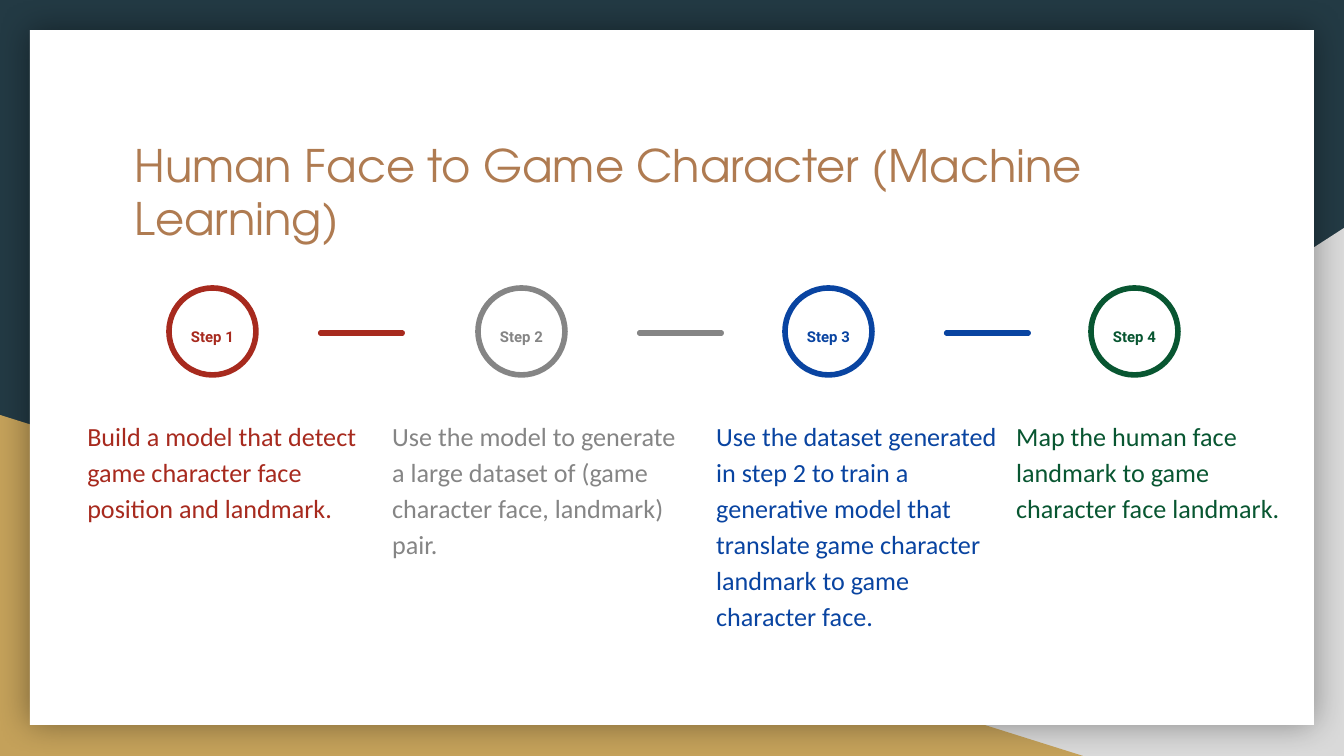
import pptx
import pptx.dml.color
import pptx.enum.shapes
import pptx.enum.text
import pptx.oxml
import pptx.oxml.ns
import pptx.util

RGB = pptx.dml.color.RGBColor
SHAPE = pptx.enum.shapes.MSO_SHAPE
ALIGN = pptx.enum.text.PP_ALIGN
ANCHOR = pptx.enum.text.MSO_ANCHOR
PX = 914400 / 134.4

NAVY = RGB(0x23, 0x3A, 0x44)
SILVER = RGB(0xD9, 0xD9, 0xD9)
GOLD = RGB(0xC4, 0xA1, 0x5A)
WHITE = RGB(0xFF, 0xFF, 0xFF)
BROWN = RGB(0xAF, 0x7B, 0x51)
RED = RGB(0xA7, 0x2A, 0x1E)
GRAY = RGB(0x85, 0x85, 0x85)
BLUE = RGB(0x09, 0x44, 0xA1)
GREEN = RGB(0x08, 0x56, 0x31)

TITLE = {"name": "TeX Gyre Adventor", "size": pptx.util.Pt(24), "bold": False}
LABEL = {"name": "Roboto", "size": pptx.util.Pt(8), "bold": True}
BODY = {"name": "Calibri", "size": pptx.util.Pt(14), "bold": False}
SPACED = {"line_spacing": 1.15, "space_after": pptx.util.Pt(16)}

CIRCLE_TOP, CIRCLE = 288, 87
LABEL_TOP, LABEL_HEIGHT = 312, 47
BODY_TOP, BODY_HEIGHT = 402, 109
BAR_TOP, BAR_HEIGHT = 330, 6

STEPS = [
    (RED, 169, 74, 306, 318,
     "Build a model that detect game character face position and landmark."),
    (GRAY, 478, 379, 314, 637,
     "Use the model to generate a large dataset of (game character face, landmark) pair."),
    (BLUE, 785, 703, 314, 944,
     "Use the dataset generated in step 2 to train a generative model that "
     "translate game character landmark to game character face."),
    (GREEN, 1091, 1003, 292, None,
     "Map the human face landmark to game character face landmark."),
]

SHADOW = (
    '<a:effectLst xmlns:a="http://schemas.openxmlformats.org/drawingml/2006/main">'
    '<a:outerShdw blurRad="228600" dist="0" algn="ctr" rotWithShape="0">'
    '<a:srgbClr val="000000"><a:alpha val="40000"/></a:srgbClr>'
    '</a:outerShdw></a:effectLst>'
)


def px(*values):
    """Turn pixel lengths into EMU."""
    return [pptx.util.Emu(round(v * PX)) for v in values]


def apply(obj, values):
    """Set attributes of an object from a dict."""
    for name, value in values.items():
        setattr(obj, name, value)


def add_shape(shapes, kind, box, fill=None, line=None):
    """Add a preset shape with a plain fill or a 3 pt outline."""
    sp = shapes.add_shape(kind, *px(*box))
    sp.shadow.inherit = False
    if fill is None:
        sp.fill.background()
    else:
        sp.fill.solid()
        sp.fill.fore_color.rgb = fill
    if line is None:
        sp.line.fill.background()
    else:
        sp.line.color.rgb = line
        sp.line.width = pptx.util.Pt(3)
    return sp


def write_text(sp, text, font, color, para):
    """Write one formatted paragraph into a shape."""
    tf = sp.text_frame
    inset = pptx.util.Inches(0.1)
    apply(tf, {"word_wrap": True, "vertical_anchor": ANCHOR.TOP,
               "auto_size": pptx.enum.text.MSO_AUTO_SIZE.NONE,
               "margin_left": inset, "margin_right": inset,
               "margin_top": inset, "margin_bottom": inset})
    p = tf.paragraphs[0]
    apply(p, para)
    r = p.add_run()
    r.text = text
    apply(r.font, font)
    r.font.color.rgb = color


def add_text(shapes, box, text, font, color, align):
    """Add a text box with spaced lines."""
    sp = shapes.add_textbox(*px(*box))
    write_text(sp, text, font, color, {"alignment": align, **SPACED})


def add_backdrop(s):
    """Draw the dark background, corner triangles and white card."""
    s.background.fill.solid()
    s.background.fill.fore_color.rgb = NAVY
    right = add_shape(s.shapes, SHAPE.RIGHT_TRIANGLE, (527, 228, 817, 528), SILVER)
    right._element.spPr.find(pptx.oxml.ns.qn("a:xfrm")).set("flipH", "1")
    add_shape(s.shapes, SHAPE.RIGHT_TRIANGLE, (0, 415, 1083, 341), GOLD)
    card = add_shape(s.shapes, SHAPE.RECTANGLE, (30, 30, 1284, 695), WHITE)
    spPr = card._element.spPr
    spPr.replace(spPr.find(pptx.oxml.ns.qn("a:effectLst")), pptx.oxml.parse_xml(SHADOW))


def add_title(s, text):
    """Place the title placeholder above the card."""
    sp = s.shapes.title
    apply(sp, dict(zip(("left", "top", "width", "height"), px(121, 124, 1103, 140))))
    write_text(sp, text, TITLE, BROWN, {"alignment": ALIGN.LEFT})
    s.shapes._spTree.append(sp._element)


def add_step(s, number, color, left, body_left, body_width, bar_left, text):
    """Add a numbered circle with its description and the bar after it."""
    shapes = s.shapes.add_group_shape().shapes
    add_shape(shapes, SHAPE.OVAL, (left, CIRCLE_TOP, CIRCLE, CIRCLE), line=color)
    add_text(shapes, (left, LABEL_TOP, CIRCLE, LABEL_HEIGHT),
             f"Step {number}", LABEL, color, ALIGN.CENTER)
    add_text(shapes, (body_left, BODY_TOP, body_width, BODY_HEIGHT),
             text, BODY, color, ALIGN.LEFT)
    if bar_left is not None:
        bar = add_shape(s.shapes, SHAPE.ROUNDED_RECTANGLE,
                        (bar_left, BAR_TOP, CIRCLE, BAR_HEIGHT), color)
        bar.adjustments[0] = 0.5


def main():
    """Build the slide and save it."""
    prs = pptx.Presentation()
    prs.slide_width, prs.slide_height = px(1344, 756)
    s = prs.slides.add_slide(prs.slide_layouts[5])
    add_backdrop(s)
    add_title(s, "Human Face to Game Character (Machine Learning)")
    for number, step in enumerate(STEPS, 1):
        add_step(s, number, *step)
    prs.save("out.pptx")


if __name__ == "__main__":
    main()
